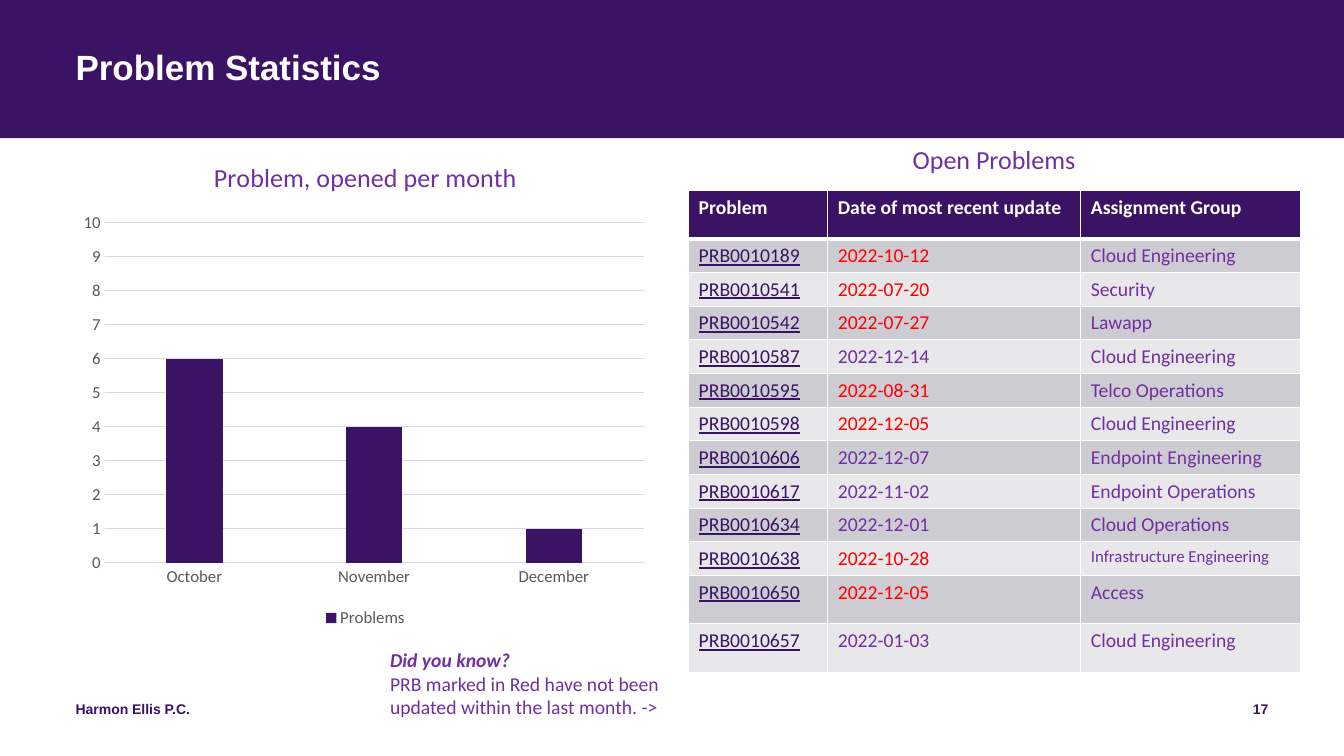
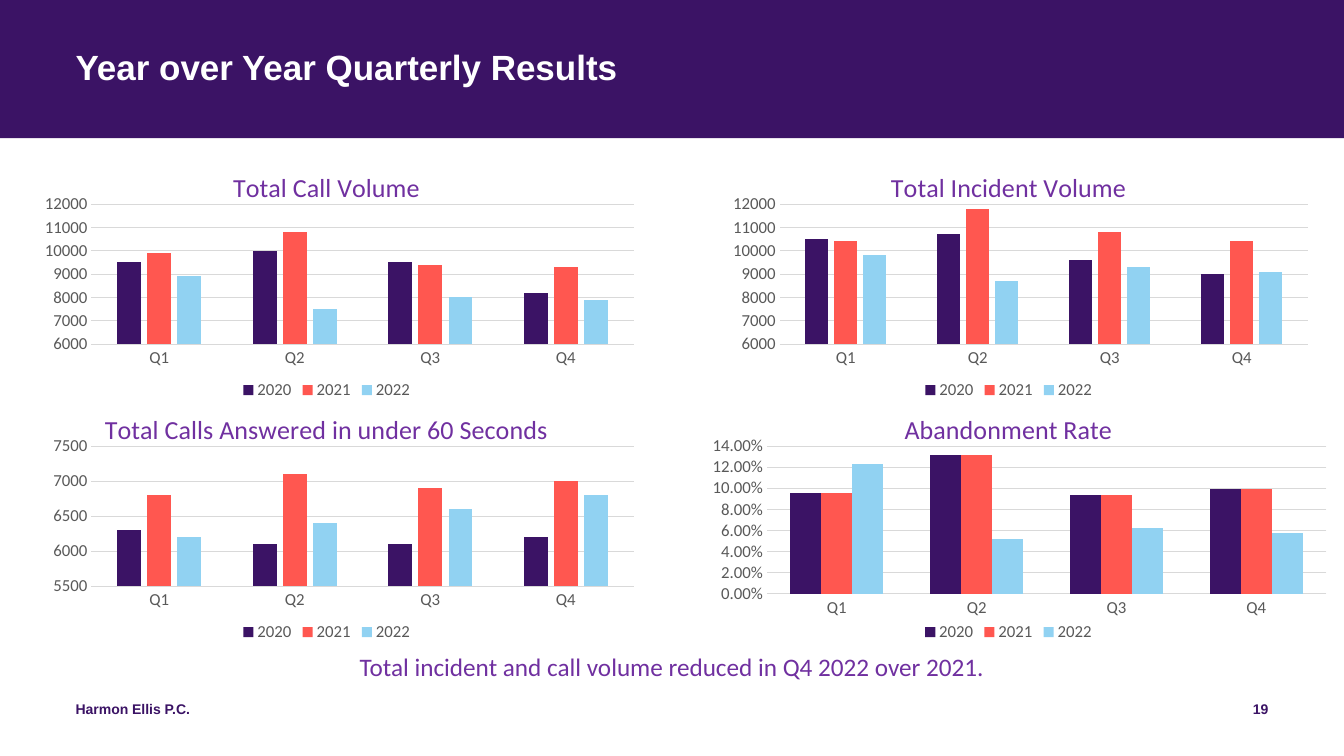
"""Build two service desk report slides: problem statistics and quarterly results."""
from dataclasses import dataclass
from itertools import product

from lxml.etree import SubElement
from pptx import Presentation
from pptx.chart.data import CategoryChartData
from pptx.dml.color import RGBColor
from pptx.enum.chart import XL_CHART_TYPE, XL_LEGEND_POSITION, XL_TICK_MARK
from pptx.enum.shapes import MSO_SHAPE
from pptx.enum.text import PP_ALIGN
from pptx.oxml.ns import qn
from pptx.util import Inches, Pt


@dataclass(frozen=True)
class Theme:
    """Colours, fonts and type sizes shared by the slides."""
    brand: RGBColor = RGBColor.from_string("3B1365")
    coral: RGBColor = RGBColor.from_string("FF5750")
    sky: RGBColor = RGBColor.from_string("91D2F2")
    accent: RGBColor = RGBColor.from_string("7030A0")
    alert: RGBColor = RGBColor.from_string("FF0000")
    white: RGBColor = RGBColor.from_string("FFFFFF")
    axis_text: RGBColor = RGBColor.from_string("595959")
    grid: RGBColor = RGBColor.from_string("D9D9D9")
    row_dark: RGBColor = RGBColor.from_string("CECCD3")
    row_light: RGBColor = RGBColor.from_string("E8E7EA")
    heading_font: str = "Arial"
    body_font: str = "Calibri"
    title_size: float = 25
    subtitle_size: float = 18.6
    summary_size: float = 18
    body_size: float = 14
    small_size: float = 12
    footer_size: float = 10


@dataclass(frozen=True)
class ChartSpec:
    """Content and scale of one column chart."""
    title: str
    categories: tuple
    series: dict
    axis: tuple
    plot: tuple
    gap: int = 219
    overlap: int = -27
    number_format: str = "General"


THEME = Theme()
WIDTH, HEIGHT = 13.33, 7.5
BAND_HEIGHT = 1.37
MARGIN = 0.75
CONTENT_WIDTH = 11.83
QUARTERS = ("Q1", "Q2", "Q3", "Q4")
QUARTER_PLOT = (0.14, 0.2, 0.83, 0.56)

MONTHLY_PROBLEMS = ChartSpec(
    "Problem, opened per month", ("October", "November", "December"),
    {"Problems": (6, 4, 1)}, (0, 10, 1), (0.05, 0.17, 0.93, 0.69))

QUARTERLY_CHARTS = (
    ChartSpec("Total Call Volume", QUARTERS,
              {"2020": (9500, 10000, 9500, 8200),
               "2021": (9900, 10800, 9400, 9300),
               "2022": (8900, 7500, 8000, 7900)},
              (6000, 12000, 1000), QUARTER_PLOT),
    ChartSpec("Total Incident Volume", QUARTERS,
              {"2020": (10500, 10700, 9600, 9000),
               "2021": (10400, 11800, 10800, 10400),
               "2022": (9800, 8700, 9300, 9100)},
              (6000, 12000, 1000), QUARTER_PLOT),
    ChartSpec("Total Calls Answered in under 60 Seconds", QUARTERS,
              {"2020": (6300, 6100, 6100, 6200),
               "2021": (6800, 7100, 6900, 7000),
               "2022": (6200, 6400, 6600, 6800)},
              (5500, 7500, 500), QUARTER_PLOT),
    ChartSpec("Abandonment Rate", QUARTERS,
              {"2020": (0.095, 0.132, 0.094, 0.099),
               "2021": (0.095, 0.132, 0.094, 0.099),
               "2022": (0.123, 0.052, 0.062, 0.057)},
              (0, 0.14, 0.02), (0.12, 0.2, 0.88, 0.59), 150, 0, "0.00%"),
)

PROBLEM_HEADINGS = ("Problem", "Date of most recent update", "Assignment Group")
OVERDUE, CURRENT = THEME.alert, THEME.accent
OPEN_PROBLEMS = (
    ("PRB0010189", "2022-10-12", "Cloud Engineering", OVERDUE),
    ("PRB0010541", "2022-07-20", "Security", OVERDUE),
    ("PRB0010542", "2022-07-27", "Lawapp", OVERDUE),
    ("PRB0010587", "2022-12-14", "Cloud Engineering", CURRENT),
    ("PRB0010595", "2022-08-31", "Telco Operations", OVERDUE),
    ("PRB0010598", "2022-12-05", "Cloud Engineering", OVERDUE),
    ("PRB0010606", "2022-12-07", "Endpoint Engineering", CURRENT),
    ("PRB0010617", "2022-11-02", "Endpoint Operations", CURRENT),
    ("PRB0010634", "2022-12-01", "Cloud Operations", CURRENT),
    ("PRB0010638", "2022-10-28", "Infrastructure Engineering", OVERDUE),
    ("PRB0010650", "2022-12-05", "Access", OVERDUE),
    ("PRB0010657", "2022-01-03", "Cloud Engineering", CURRENT),
)


def style_font(font, size, color, name=THEME.body_font, bold=False):
    """Set the face, size, colour and weight of a font."""
    font.name, font.size, font.bold = name, Pt(size), bold
    font.color.rgb = color


def add_text(page, box, text, size, color, name=THEME.body_font, bold=False,
             align=PP_ALIGN.LEFT, inset=True):
    """Add a wrapped text box and return its text frame."""
    frame = page.shapes.add_textbox(*map(Inches, box)).text_frame
    frame.word_wrap = True
    if not inset:
        frame.margin_left = frame.margin_right = 0
        frame.margin_top = frame.margin_bottom = 0
    frame.text = text
    for paragraph in frame.paragraphs:
        paragraph.alignment = align
        for span in paragraph.runs:
            style_font(span.font, size, color, name, bold)
    return frame


def add_page(deck, title, number):
    """Add a slide with the title band and the footer."""
    page = deck.slides.add_slide(deck.slide_layouts[6])
    band = page.shapes.add_shape(MSO_SHAPE.RECTANGLE, 0, 0, Inches(WIDTH), Inches(BAND_HEIGHT))
    band.shadow.inherit = False
    band.fill.solid()
    band.fill.fore_color.rgb = THEME.brand
    band.line.fill.background()
    heading = add_text(page, (MARGIN, 0.5, CONTENT_WIDTH, 0.81), title, THEME.title_size,
                       THEME.white, THEME.heading_font, True, inset=False)
    heading.paragraphs[0].line_spacing = 0.9
    right = MARGIN + CONTENT_WIDTH
    for left, width, text, align in (
            (MARGIN, 4.5, "Harmon Ellis P.C.", PP_ALIGN.LEFT),
            (right - 3, 3, str(number), PP_ALIGN.RIGHT)):
        add_text(page, (left, 6.95, width, 0.4), text, THEME.footer_size, THEME.brand,
                 THEME.heading_font, True, align, inset=False)
    return page


def place_plot(chart, plot):
    """Fix the inner plot area to fractions of the chart box."""
    area = chart._chartSpace.chart.plotArea
    for old in area.findall(qn("c:layout")):
        area.remove(old)
    layout = SubElement(area, qn("c:layout"))
    area.insert(0, layout)
    manual = SubElement(layout, qn("c:manualLayout"))
    settings = [("layoutTarget", "inner"), ("xMode", "edge"), ("yMode", "edge")]
    settings += zip("xywh", plot)
    for tag, value in settings:
        SubElement(manual, qn(f"c:{tag}")).set("val", str(value))


def style_axes(chart, spec):
    """Format the category axis, the value axis and its gridlines."""
    value_axis, category_axis = chart.value_axis, chart.category_axis
    for axis in (value_axis, category_axis):
        axis.major_tick_mark = axis.minor_tick_mark = XL_TICK_MARK.NONE
        style_font(axis.tick_labels.font, THEME.small_size, THEME.axis_text)
    value_axis.minimum_scale, value_axis.maximum_scale, value_axis.major_unit = spec.axis
    value_axis.tick_labels.number_format = spec.number_format
    value_axis.tick_labels.number_format_is_linked = False
    value_axis.format.line.fill.background()
    for line in (value_axis.major_gridlines.format.line, category_axis.format.line):
        line.color.rgb = THEME.grid
        line.width = Pt(0.75)


def add_column_chart(page, box, spec):
    """Add a clustered column chart in the given box."""
    data = CategoryChartData(number_format=spec.number_format)
    data.categories = spec.categories
    for name, values in spec.series.items():
        data.add_series(name, values)
    chart = page.shapes.add_chart(
        XL_CHART_TYPE.COLUMN_CLUSTERED, *map(Inches, box), data).chart
    chart.font.name, chart.font.size = THEME.body_font, Pt(THEME.footer_size)
    chart.has_title = True
    title = chart.chart_title
    title.include_in_layout = False
    title.text_frame.text = spec.title
    style_font(title.text_frame.paragraphs[0].runs[0].font, THEME.subtitle_size, THEME.accent)
    chart.has_legend = True
    chart.legend.position = XL_LEGEND_POSITION.BOTTOM
    chart.legend.include_in_layout = False
    style_font(chart.legend.font, THEME.small_size, THEME.axis_text)
    style_axes(chart, spec)
    columns = chart.plots[0]
    columns.vary_by_categories = False
    columns.gap_width, columns.overlap = spec.gap, spec.overlap
    for series, color in zip(columns.series, (THEME.brand, THEME.coral, THEME.sky)):
        series.format.fill.solid()
        series.format.fill.fore_color.rgb = color
    place_plot(chart, spec.plot)


def style_cell(cell, text, fill, color, size=THEME.body_size, bold=False,
               underline=False, top=1, bottom=1):
    """Fill one table cell with text, a background and white borders."""
    cell.text = text
    font = cell.text_frame.paragraphs[0].runs[0].font
    style_font(font, size, color, bold=bold)
    font.underline = underline
    properties = cell._tc.get_or_add_tcPr()
    for side, width in zip("LRTB", (1, 1, top, bottom)):
        line = SubElement(properties, qn(f"a:ln{side}"), w=str(Pt(width)))
        paint = SubElement(line, qn("a:solidFill"))
        SubElement(paint, qn("a:srgbClr"), val=str(THEME.white))
    cell.fill.solid()
    cell.fill.fore_color.rgb = fill


def add_problem_table(page, box):
    """Add the table of open problems in the given box."""
    table = page.shapes.add_table(
        len(OPEN_PROBLEMS) + 1, len(PROBLEM_HEADINGS), *map(Inches, box)).table
    for column, width in zip(table.columns, (1.38, 2.51, 2.18)):
        column.width = Inches(width)
    tall_rows = (0, len(OPEN_PROBLEMS) - 1, len(OPEN_PROBLEMS))
    for index, row in enumerate(table.rows):
        row.height = Inches(0.48 if index in tall_rows else 0.32)
    for column, heading in enumerate(PROBLEM_HEADINGS):
        style_cell(table.cell(0, column), heading, THEME.brand, THEME.white,
                   bold=True, bottom=3)
    for row, (problem, date, group, date_color) in enumerate(OPEN_PROBLEMS, 1):
        fill = THEME.row_dark if row % 2 else THEME.row_light
        top = 3 if row == 1 else 1
        group_size = THEME.small_size if len(group) > 20 else THEME.body_size
        style_cell(table.cell(row, 0), problem, fill, THEME.brand, underline=True, top=top)
        style_cell(table.cell(row, 1), date, fill, date_color, top=top)
        style_cell(table.cell(row, 2), group, fill, THEME.accent, group_size, top=top)


def build_problem_page(deck):
    """Build the slide of monthly and open problems."""
    page = add_page(deck, "Problem Statistics", 17)
    add_column_chart(page, (MARGIN, 1.38, 5.75, 4.89), MONTHLY_PROBLEMS)
    left, width = 6.83, 6.06
    add_problem_table(page, (left, 1.89, width, 4.76))
    add_text(page, (left, BAND_HEIGHT, width, 0.41), "Open Problems",
             THEME.subtitle_size, THEME.accent, align=PP_ALIGN.CENTER)
    note = add_text(page, (3.77, 6.38, 2.9, 0.81),
                    "Did you know?\nPRB marked in Red have not been updated "
                    "within the last month. ->", THEME.body_size, THEME.accent)
    lead = note.paragraphs[0].runs[0].font
    lead.bold = lead.italic = True


def build_quarterly_page(deck):
    """Build the slide of four year over year charts."""
    page = add_page(deck, "Year over Year Quarterly Results", 19)
    places = product((1.53, 3.93), ((0, 6.48), (6.85, 6.31)))
    for (top, (left, width)), spec in zip(places, QUARTERLY_CHARTS):
        add_column_chart(page, (left, top, width, 2.48), spec)
    add_text(page, (0, 6.41, WIDTH, 0.71),
             "Total incident and call volume reduced in Q4 2022 over 2021.",
             THEME.summary_size, THEME.accent, align=PP_ALIGN.CENTER)


def main():
    """Create the deck and save it."""
    deck = Presentation()
    deck.slide_width, deck.slide_height = Inches(WIDTH), Inches(HEIGHT)
    build_problem_page(deck)
    build_quarterly_page(deck)
    deck.save("out.pptx")


if __name__ == "__main__":
    main()
